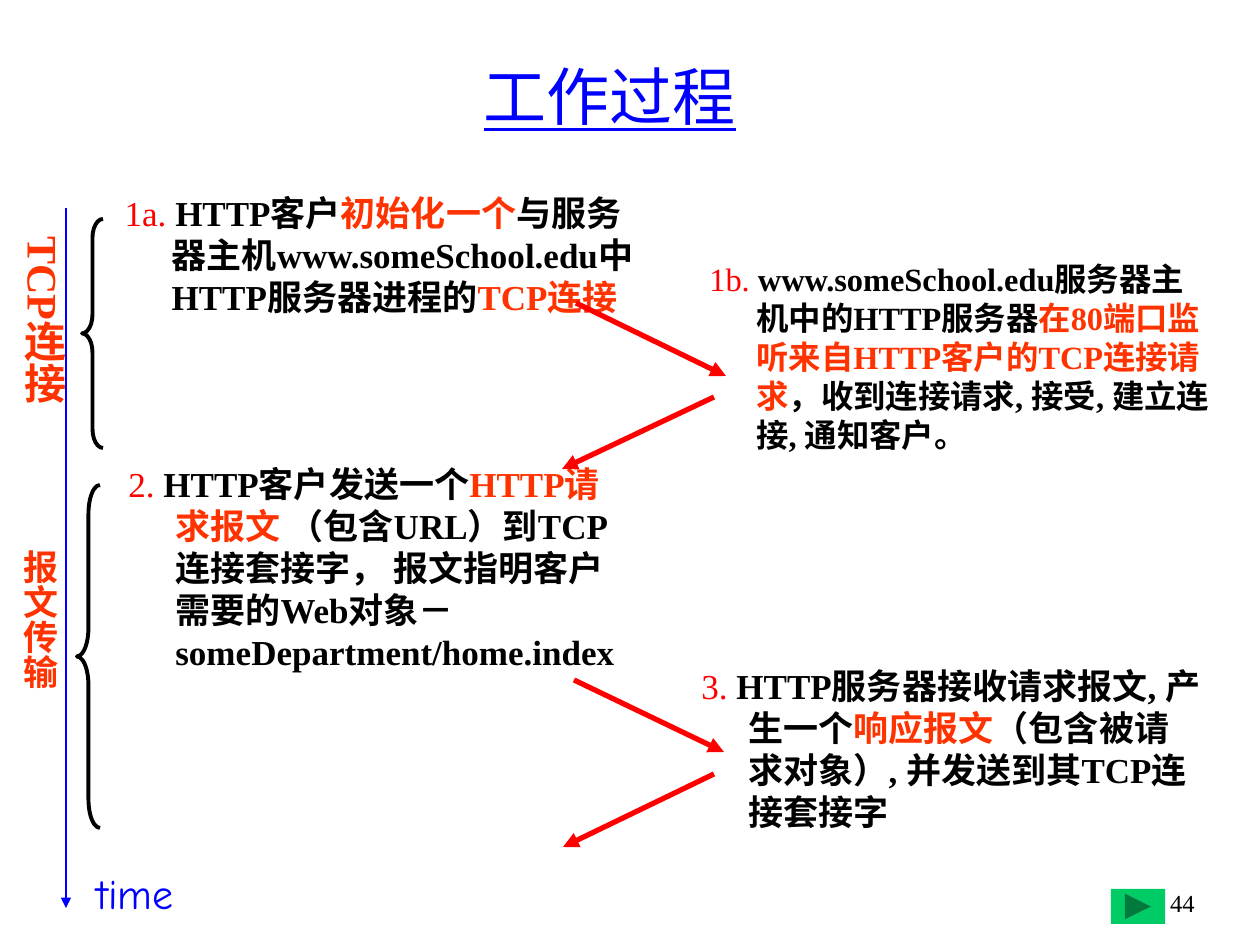
"""Build the slide on the steps of an HTTP exchange over a TCP connection."""
from dataclasses import dataclass

from lxml import etree
from pptx import Presentation
from pptx import util as u
from pptx.dml.color import RGBColor
from pptx.enum import shapes, text
from pptx.oxml.ns import qn

SCALE = 914400 / 126


@dataclass(frozen=True)
class Theme:
    """Colours, fonts and type sizes of the slide."""
    blue: str = "0000FF"
    red: str = "FF0000"
    accent: str = "FF3300"
    ink: str = "000000"
    button: str = "00CC66"
    serif: str = "Times New Roman"
    hand: str = "Comic Neue"
    title: float = 36
    label: float = 24
    step: float = 20
    small_step: float = 18.5
    number: float = 14


THEME = Theme()


def px(length):
    """Turn pixels into EMU."""
    return u.Emu(round(length * SCALE))


def place(shape, box):
    """Move and size a shape to a box in px."""
    shape.left, shape.top, shape.width, shape.height = map(px, box)


def style(paragraph, size, color, font=THEME.serif, align=text.PP_ALIGN.LEFT):
    """Set the alignment and the font shared by a whole paragraph."""
    paragraph.alignment = align
    paragraph.space_before = u.Pt(0)
    paragraph.font.name = font
    paragraph.font.size = u.Pt(size)
    paragraph.font.color.rgb = RGBColor.from_string(color)


def add_text_box(slide, box):
    """Add an empty wrapping text box."""
    shape = slide.shapes.add_textbox(*map(px, box))
    shape.text_frame.word_wrap = True
    return shape


def fill_title(shape, box, words):
    """Fill the title placeholder."""
    place(shape, box)
    frame = shape.text_frame
    frame.vertical_anchor = text.MSO_ANCHOR.MIDDLE
    frame.text = words
    paragraph = frame.paragraphs[0]
    style(paragraph, THEME.title, THEME.blue, align=text.PP_ALIGN.CENTER)
    paragraph.font.underline = True


def fill_step(shape, box, number, parts, size=THEME.step):
    """Write a numbered step whose plain and accented parts alternate."""
    place(shape, box)
    shape.text_frame.auto_size = text.MSO_AUTO_SIZE.NONE
    paragraph = shape.text_frame.paragraphs[0]
    properties = paragraph._p.get_or_add_pPr()
    properties.set("marL", str(px(47)))
    properties.set("indent", str(px(-47)))
    etree.SubElement(properties, qn("a:buNone"))
    style(paragraph, size, THEME.red)
    paragraph.add_run().text = number + " "
    for index, part in enumerate(parts):
        run = paragraph.add_run()
        run.text = part
        run.font.bold = True
        color = THEME.accent if index % 2 else THEME.ink
        run.font.color.rgb = RGBColor.from_string(color)


def add_label(slide, box, words, size, color, font=THEME.serif,
              align=text.PP_ALIGN.CENTER):
    """Add a short one-line label."""
    frame = add_text_box(slide, box).text_frame
    frame.text = words
    style(frame.paragraphs[0], size, color, font, align)


def add_phase(slide, box, words, size):
    """Add a bold phase name that runs downwards."""
    frame = add_text_box(slide, box).text_frame
    frame.margin_left = frame.margin_right = u.Inches(0.05)
    frame.margin_top = frame.margin_bottom = u.Inches(0.1)
    frame._txBody.bodyPr.set("vert", "eaVert")
    frame.text = words
    style(frame.paragraphs[0], size, THEME.accent)
    frame.paragraphs[0].font.bold = True


def add_arrow(slide, start, end, color, width):
    """Add a straight arrow between two points."""
    arrow = slide.shapes.add_connector(
        shapes.MSO_CONNECTOR.STRAIGHT, *map(px, start + end))
    arrow.line.color.rgb = RGBColor.from_string(color)
    arrow.line.width = u.Pt(width)
    etree.SubElement(arrow.line._get_or_add_ln(), qn("a:tailEnd"), type="triangle")
    etree.SubElement(arrow._element.spPr, qn("a:effectLst"))


def add_brace(slide, box, curve):
    """Add a left brace with the given curve height."""
    brace = slide.shapes.add_shape(shapes.MSO_SHAPE.LEFT_BRACE, *map(px, box))
    brace.adjustments[0] = curve
    brace.shadow.inherit = False
    brace.fill.background()
    brace.line.color.rgb = RGBColor.from_string(THEME.ink)
    brace.line.width = u.Pt(2.25)


def add_next_button(slide, box):
    """Add the button that points to the next slide."""
    button = slide.shapes.add_shape(
        shapes.MSO_SHAPE.ACTION_BUTTON_FORWARD_OR_NEXT, *map(px, box))
    button.shadow.inherit = False
    button.fill.solid()
    button.fill.fore_color.rgb = RGBColor.from_string(THEME.button)
    button.line.fill.background()


def main():
    """Build and save the slide."""
    presentation = Presentation()
    presentation.slide_width, presentation.slide_height = px(1260), px(945)
    slide = presentation.slides.add_slide(presentation.slide_layouts[1])
    title, body = slide.placeholders

    fill_title(title, (74, 35, 1071, 120), "工作过程")
    add_arrow(slide, (66, 208), (66, 908), THEME.blue, 1.5)

    fill_step(body, (112, 185, 543, 262), "1a.", (
        "HTTP客户", "初始化一个",
        "与服务器主机www.someSchool.edu中HTTP服务器进程的", "TCP连接"))
    steps = (
        ((116, 456, 525, 239), "2.", (
            "HTTP客户发送一个", "HTTP请求报文",
            " （包含URL）到TCP连接套接字， 报文指明客户需要的Web对象－"
            "someDepartment/home.index"), THEME.step),
        ((697, 253, 525, 228), "1b.", (
            "www.someSchool.edu服务器主机中的HTTP服务器",
            "在80端口监听来自HTTP客户的TCP连接请求",
            "，收到连接请求, 接受, 建立连接, 通知客户。"), THEME.small_step),
        ((689, 658, 525, 207), "3.", (
            "HTTP服务器接收请求报文, 产生一个", "响应报文",
            "（包含被请求对象）, 并发送到其TCP连接套接字"), THEME.step),
    )
    for box, number, parts, size in steps:
        fill_step(add_text_box(slide, box), box, number, parts, size)

    messages = (
        ((576, 303), (726, 376)),
        ((714, 397), (562, 469)),
        ((574, 680), (724, 752)),
        ((714, 774), (563, 847)),
    )
    for start, end in messages:
        add_arrow(slide, start, end, THEME.red, 3)

    add_brace(slide, (82, 219, 21, 229), 0.9)
    add_brace(slide, (77, 485, 23, 343), 1.25)
    add_phase(slide, (0, 224, 76, 219), "TCP连接", THEME.label)
    add_phase(slide, (0, 537, 67, 219), "报文传输", THEME.step)

    add_label(slide, (74, 861, 122, 63), "time", THEME.label, THEME.blue, THEME.hand)
    add_next_button(slide, (1111, 889, 54, 35))
    add_label(slide, (1144, 882, 63, 63), "44", THEME.number, THEME.ink,
              align=text.PP_ALIGN.RIGHT)
    presentation.save("out.pptx")


if __name__ == "__main__":
    main()
